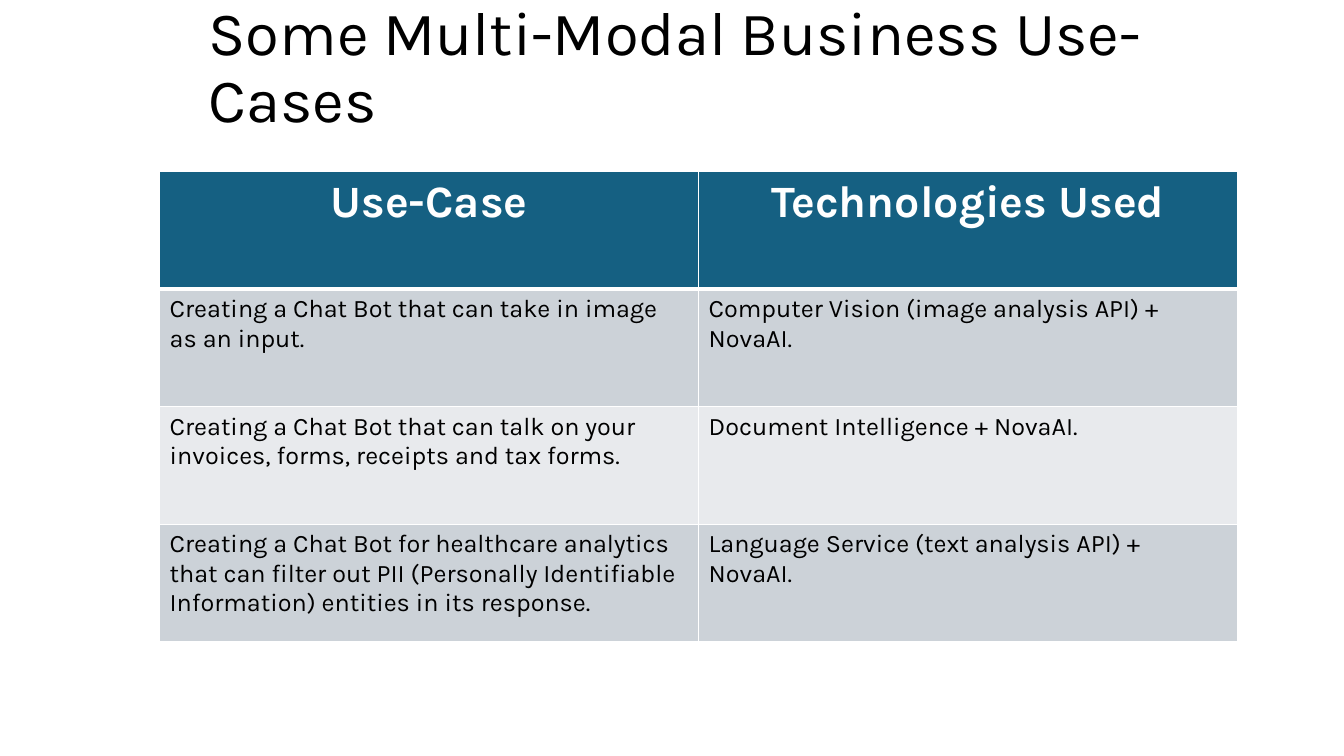
from dataclasses import dataclass

from lxml import etree
from pptx import Presentation
from pptx.dml.color import RGBColor
from pptx.enum.text import MSO_ANCHOR, PP_ALIGN
from pptx.oxml.ns import qn
from pptx.util import Pt

MIDDLE = MSO_ANCHOR.MIDDLE
LEFT, CENTER = PP_ALIGN.LEFT, PP_ALIGN.CENTER


@dataclass(frozen=True)
class Theme:
    font: str = "Karla"
    black: str = "000000"
    white: str = "FFFFFF"
    header: str = "156082"
    bands: tuple = ("CCD2D8", "E8EAED")
    title_size: int = 44
    header_size: int = 32
    body_size: int = 18


theme = Theme()


def style(p, size, color, bold=False):
    for r in p.runs:
        r.font.name = theme.font
        r.font.size = Pt(size)
        r.font.bold = bold
        r.font.color.rgb = RGBColor.from_string(color)


def add_border(cell, side, width):
    ln = etree.SubElement(cell._tc.get_or_add_tcPr(), qn(f"a:ln{side}"), w=str(Pt(width)))
    fill = etree.SubElement(ln, qn("a:solidFill"))
    etree.SubElement(fill, qn("a:srgbClr"), val=theme.white)


prs = Presentation()
prs.slide_width, prs.slide_height = Pt(960), Pt(540)
s = prs.slides.add_slide(prs.slide_layouts[6])

# Title
title = s.shapes.add_textbox(Pt(142), Pt(0), Pt(726), Pt(98.6))
tf = title.text_frame
tf.word_wrap = True
tf.vertical_anchor = MIDDLE
p = tf.paragraphs[0]
p.text = "Some Multi-Modal Business Use-Cases"
p.line_spacing = 0.9
style(p, theme.title_size, theme.black)

# Table of use-cases
rows = [
    ("Use-Case", "Technologies Used"),
    ("Creating a Chat Bot that can take in image as an input.",
     "Computer Vision (image analysis API) + NovaAI."),
    ("Creating a Chat Bot that can talk on your invoices, forms, receipts and tax forms.",
     "Document Intelligence + NovaAI."),
    ("Creating a Chat Bot for healthcare analytics that can filter out PII "
     "(Personally Identifiable Information) entities in its response.",
     "Language Service (text analysis API) + NovaAI."),
]
col_width, row_height = 385, 84
table = s.shapes.add_table(len(rows), 2, Pt(114), Pt(122.6),
                           Pt(2 * col_width), Pt(len(rows) * row_height)).table

for i, texts in enumerate(rows):
    is_header = i == 0
    for j, text in enumerate(texts):
        cell = table.cell(i, j)
        for side in "LRTB":
            thick = (i == 0 and side == "B") or (i == 1 and side == "T")
            add_border(cell, side, 3 if thick else 1)
        cell.fill.solid()
        fill = theme.header if is_header else theme.bands[(i - 1) % 2]
        cell.fill.fore_color.rgb = RGBColor.from_string(fill)
        p = cell.text_frame.paragraphs[0]
        p.text = text
        p.alignment = CENTER if is_header else LEFT
        if is_header:
            style(p, theme.header_size, theme.white, bold=True)
        else:
            style(p, theme.body_size, theme.black)

prs.save("out.pptx")
